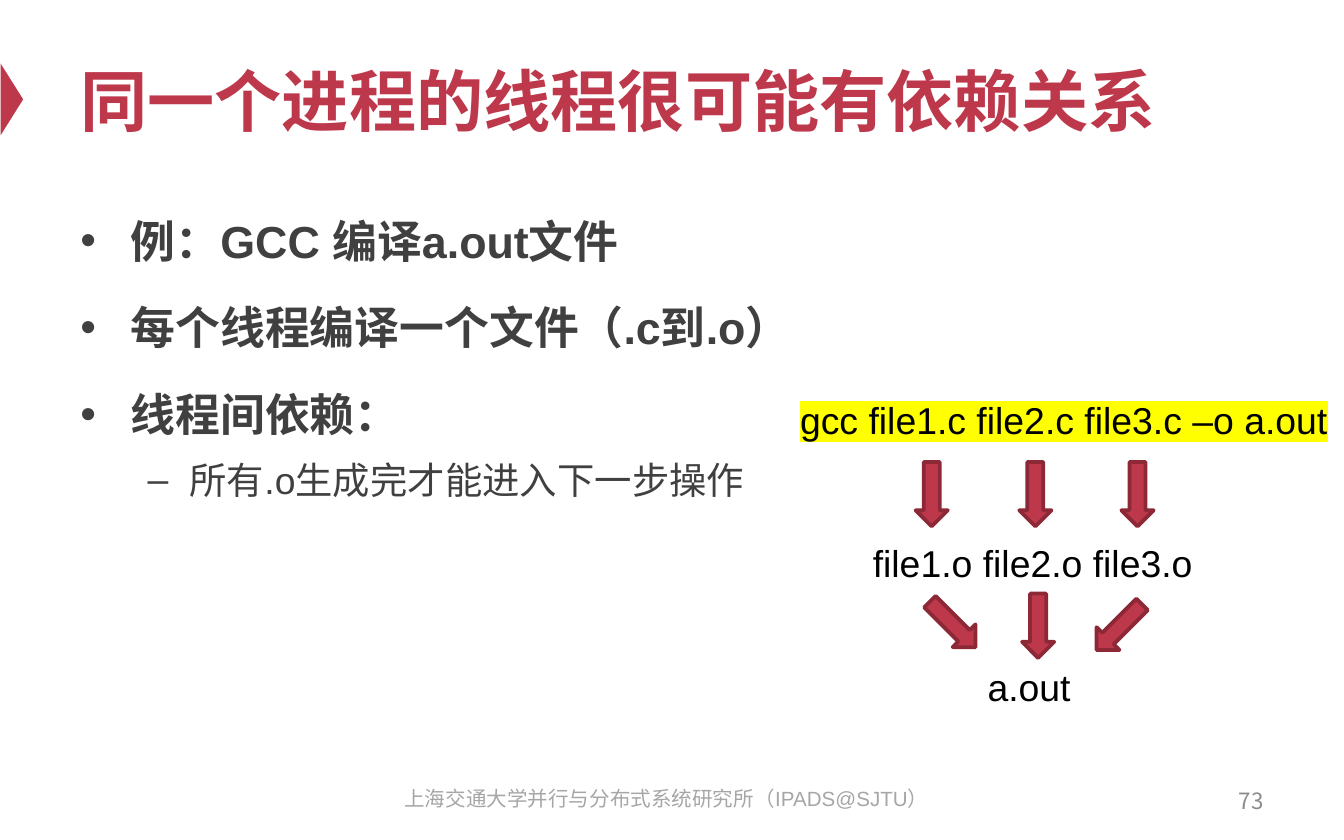
from lxml import etree
from pptx import Presentation
from pptx.dml.color import RGBColor
from pptx.enum.shapes import MSO_SHAPE
from pptx.enum.text import MSO_ANCHOR, PP_ALIGN
from pptx.oxml.ns import qn
from pptx.util import Pt

PX = 9525
TRIANGLE, DOWN_ARROW = MSO_SHAPE.ISOSCELES_TRIANGLE, MSO_SHAPE.DOWN_ARROW
TOP, MIDDLE = MSO_ANCHOR.TOP, MSO_ANCHOR.MIDDLE
LEFT, CENTER, RIGHT = PP_ALIGN.LEFT, PP_ALIGN.CENTER, PP_ALIGN.RIGHT

RED = RGBColor(0xBE, 0x38, 0x4B)
DARK_RED = RGBColor(0x8D, 0x29, 0x37)
BLACK = RGBColor(0, 0, 0)
DARK_GRAY = RGBColor(0x40, 0x40, 0x40)
NUMBER_GRAY = RGBColor(0x8C, 0x8C, 0x8C)
FOOTER_GRAY = RGBColor(0xA6, 0xA6, 0xA6)
YELLOW = RGBColor(0xFF, 0xFF, 0x00)


class SlideBuilder:
    font_name = "Arial"
    number_font = "Noto Sans CJK SC"

    def __init__(self, slide):
        self.slide = slide

    def style(self, paragraph, size, color, bold=False, name=None):
        font = paragraph.font
        font.name = name or self.font_name
        font.size = Pt(size)
        font.bold = bold
        font.color.rgb = color

    def frame(self, left, top, width, height, anchor=TOP, wrap=True):
        box = self.slide.shapes.add_textbox(left * PX, top * PX, width * PX, height * PX)
        box.text_frame.word_wrap = wrap
        box.text_frame.vertical_anchor = anchor
        return box.text_frame

    def text(self, place, words, size, color, bold=False, name=None,
             align=LEFT, anchor=TOP, wrap=True):
        paragraph = self.frame(*place, anchor, wrap).paragraphs[0]
        run = paragraph.add_run()
        run.text = words
        paragraph.alignment = align
        self.style(paragraph, size, color, bold, name)
        return run

    def label(self, place, words, highlight=None):
        run = self.text(place, words, 20, BLACK, wrap=False)
        if highlight is not None:
            mark = etree.SubElement(run.font._element, qn("a:highlight"))
            etree.SubElement(mark, qn("a:srgbClr"), val=str(highlight))

    def bullets(self, place, items):
        text_frame = self.frame(*place)
        for index, (level, words) in enumerate(items):
            paragraph = text_frame.paragraphs[0] if index == 0 else text_frame.add_paragraph()
            paragraph.text = words
            paragraph.level = level
            paragraph.line_spacing = 1.2
            if index:
                paragraph.space_before = Pt(4 if level else 12)
            margin, indent, sign = ((78, -30, "–") if level else (36, -36, "•"))
            properties = paragraph._p.get_or_add_pPr()
            properties.set("marL", str(margin * PX))
            properties.set("indent", str(indent * PX))
            etree.SubElement(properties, qn("a:buFont"), typeface=self.font_name)
            etree.SubElement(properties, qn("a:buChar"), char=sign)
            self.style(paragraph, 20 if level else 24, DARK_GRAY, bold=not level)

    def shape(self, kind, place, rotation=0, line=None):
        shape = self.slide.shapes.add_shape(kind, *(length * PX for length in place))
        shape.shadow.inherit = False
        shape.rotation = rotation
        shape.fill.solid()
        shape.fill.fore_color.rgb = RED
        if line is None:
            shape.line.fill.background()
        else:
            shape.line.color.rgb = line
            shape.line.width = Pt(2)

    def arrow(self, left, top, rotation=0):
        self.shape(DOWN_ARROW, (left, top, 23, 46), rotation, DARK_RED)


def main():
    presentation = Presentation()
    presentation.slide_width = 960 * PX
    presentation.slide_height = 600 * PX
    builder = SlideBuilder(presentation.slides.add_slide(presentation.slide_layouts[6]))

    builder.shape(TRIANGLE, (-17, 63, 51, 16), rotation=90)
    builder.text((48, 24, 864, 94), "同一个进程的线程很可能有依赖关系", 36, RED,
                 bold=True, anchor=MIDDLE)
    builder.bullets((48, 140, 864, 396), [
        (0, "例：GCC 编译a.out文件"),
        (0, "每个线程编译一个文件（.c到.o）"),
        (0, "线程间依赖："),
        (1, "所有.o生成完才能进入下一步操作"),
    ])

    builder.label((562, 279, 399, 42), "gcc file1.c file2.c file3.c –o a.out", YELLOW)
    for left in (654, 728, 801):
        builder.arrow(left, 330)
    builder.label((614, 381, 250, 42), "file1.o file2.o file3.o")
    for left, top, rotation in ((669, 423, 315), (730, 424, 0), (788, 425, 45)):
        builder.arrow(left, top, rotation)
    builder.label((696, 470, 79, 42), "a.out")

    builder.text((268, 557, 416, 32), "上海交通大学并行与分布式系统研究所（IPADS@SJTU）", 11,
                 FOOTER_GRAY, align=CENTER)
    builder.text((688, 556, 224, 32), "73", 12, NUMBER_GRAY, name=builder.number_font,
                 align=RIGHT, anchor=MIDDLE)
    presentation.save("out.pptx")


if __name__ == "__main__":
    main()
